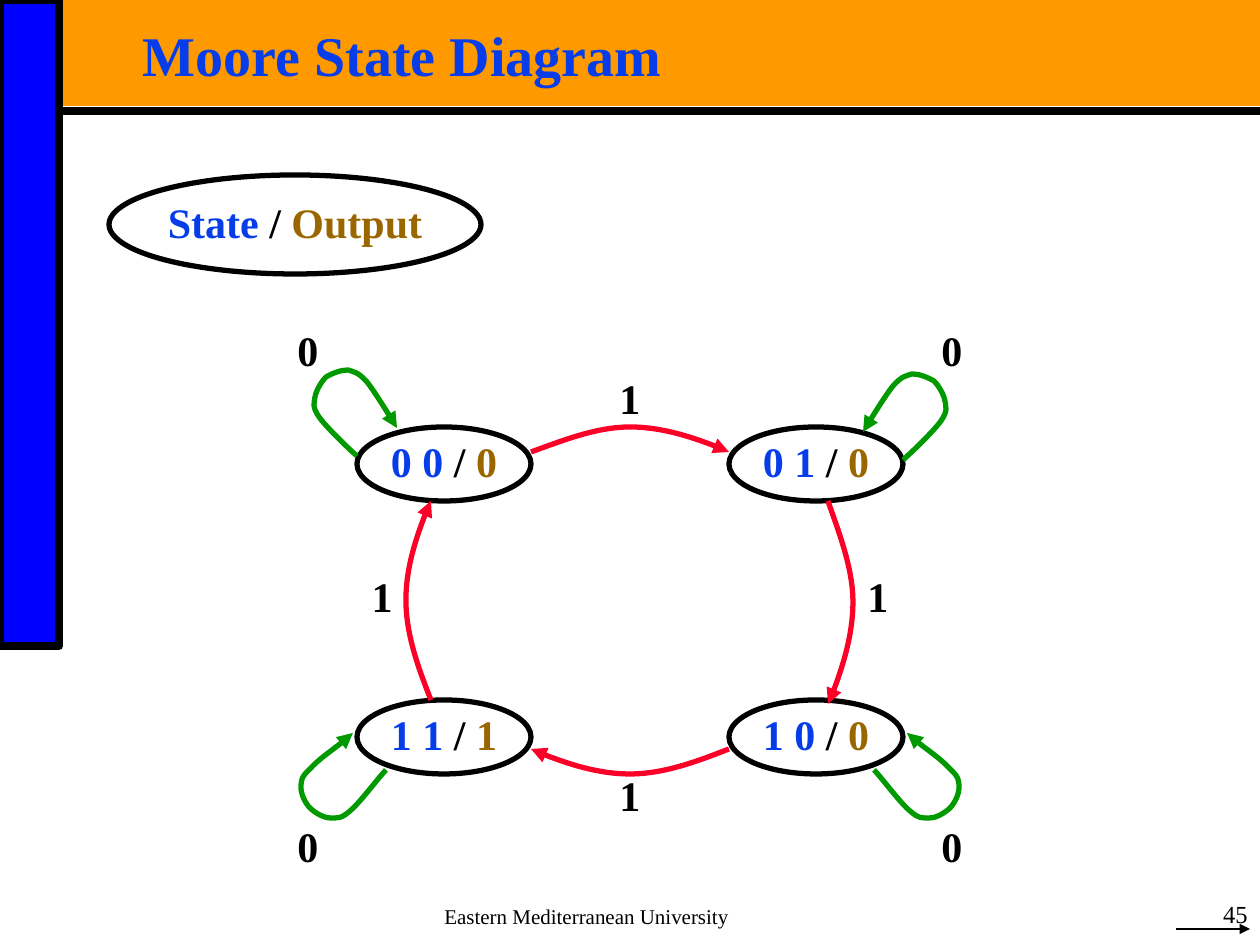
from collections import namedtuple
from dataclasses import dataclass

from lxml.etree import SubElement
from pptx import Presentation
from pptx.dml.color import RGBColor
from pptx.enum.shapes import MSO_CONNECTOR as Connector, MSO_SHAPE as Preset
from pptx.enum.text import MSO_ANCHOR as Anchor, PP_ALIGN as Align
from pptx.oxml.ns import qn
from pptx.util import Pt

PX = 914400 / 126
Box = namedtuple("Box", "x y w h")


@dataclass(frozen=True)
class Theme:
    font: str = "Times New Roman"
    band: str = "FF9900"
    panel: str = "0000FF"
    ink: str = "000000"
    state: str = "063DE8"
    output: str = "996600"
    hold: str = "009900"
    advance: str = "FC0128"
    title_size: int = 32
    body_size: int = 24
    number_size: int = 14
    footer_size: int = 12
    rule_width: float = 4.5
    curve_width: float = 3
    fine_width: float = 0.75


THEME = Theme()

NODE_W, NODE_H = 174, 74
LABEL_W, LABEL_H = 49, 45
BULGE = 25
# Control points of a transition: share of its length, share of its bulge.
ARC = [(0, 0), (1 / 6, 0.5), (1 / 3, 1), (1 / 2, 1), (2 / 3, 1), (0.92, 0.32), (1, 0)]
# Control points of the left-hand loops, from the centre of their state.
UPPER_LOOP = [(-87, -8), (-94, -14), (-118, -37), (-125, -47), (-132, -57),
              (-130, -61), (-129, -67), (-128, -73), (-123, -82), (-118, -87),
              (-111, -91), (-103, -94), (-96, -94), (-90, -92), (-86, -92),
              (-77, -82), (-70, -73), (-53, -46), (-47, -36)]
LOWER_LOOP = [(-58, 33), (-65, 40), (-85, 67), (-94, 74), (-103, 82),
              (-106, 81), (-114, 81), (-120, 81), (-129, 76), (-134, 71),
              (-139, 66), (-143, 57), (-143, 51), (-143, 44), (-143, 40),
              (-134, 32), (-125, 22), (-100, 5), (-91, -4)]


def emu(*lengths):
    return [round(length * PX) for length in lengths]


def rgb(color):
    return RGBColor.from_string(color)


def set_line(shape, color, width, arrow=False):
    shape.line.color.rgb = rgb(color)
    shape.line.width = Pt(width)
    if arrow:
        SubElement(shape.line._get_or_add_ln(), qn("a:tailEnd"), type="triangle")


def write(shape, parts, size, bold=True, align=Align.CENTER, anchor=Anchor.TOP,
          insets=(0, 0), spacing=0.9):
    """Fill a shape with one paragraph of (text, color) parts."""
    frame = shape.text_frame
    frame.word_wrap = True
    frame.vertical_anchor = anchor
    if insets:
        frame.margin_left = frame.margin_right = emu(insets[0])[0]
        frame.margin_top = frame.margin_bottom = emu(insets[1])[0]
    paragraph = frame.paragraphs[0]
    paragraph.alignment = align
    paragraph.line_spacing = spacing
    for text, color in parts:
        run = paragraph.add_run()
        run.text = text
        run.font.name = THEME.font
        run.font.size = Pt(size)
        run.font.bold = bold
        run.font.color.rgb = rgb(color)


def add_preset(slide, preset, box, fill=None):
    shape = slide.shapes.add_shape(preset, *emu(*box))
    shape.shadow.inherit = False
    if fill:
        shape.fill.solid()
        shape.fill.fore_color.rgb = rgb(fill)
    else:
        shape.fill.background()
    return shape


def add_rule(slide, start, end, width, arrow=False):
    rule = slide.shapes.add_connector(Connector.STRAIGHT, *emu(*start, *end))
    set_line(rule, THEME.ink, width, arrow)
    SubElement(rule._element.spPr, qn("a:effectLst"))


def add_curve(slide, points, color):
    """Draw an arrow along cubic Bezier segments: a start, then three points each."""
    builder = slide.shapes.build_freeform(*points[0], scale=PX)
    builder.add_line_segments(points[1:], close=False)
    curve = builder.convert_to_shape()
    curve.shadow.inherit = False
    curve.fill.background()
    set_line(curve, color, THEME.curve_width, arrow=True)
    outline = next(curve._element.iter(qn("a:path")))
    steps = outline.findall(qn("a:lnTo"))
    for first in range(0, len(steps), 3):
        segment = SubElement(outline, qn("a:cubicBezTo"))
        for step in steps[first:first + 3]:
            segment.append(step[0])
            outline.remove(step)


def add_state(slide, box, state, output):
    ellipse = add_preset(slide, Preset.OVAL, box)
    set_line(ellipse, THEME.ink, THEME.curve_width)
    write(ellipse, [(state + " ", THEME.state), ("/ ", THEME.ink), (output, THEME.output)],
          THEME.body_size, anchor=Anchor.MIDDLE)


def add_input(slide, center_x, center_y, value):
    box = emu(center_x - LABEL_W / 2, center_y - LABEL_H / 2, LABEL_W, LABEL_H)
    write(slide.shapes.add_textbox(*box), [(value, THEME.ink)], THEME.body_size)


def add_transition(slide, start, end):
    """Arrow that bulges to the left of its direction of travel."""
    (x, y), dx, dy = start, end[0] - start[0], end[1] - start[1]
    side_x, side_y = (dy > 0) - (dy < 0), (dx < 0) - (dx > 0)
    if abs(dx) > abs(dy):
        side_x = 0
    else:
        side_y = 0
    add_curve(slide, [(x + dx * along + side_x * BULGE * out,
                       y + dy * along + side_y * BULGE * out) for along, out in ARC],
              THEME.advance)


def add_header(slide, box, panel_w, panel_h):
    add_preset(slide, Preset.RECTANGLE, Box(box.x + panel_w, box.y, box.w - panel_w, box.h),
               THEME.band).line.fill.background()
    panel = add_preset(slide, Preset.RECTANGLE, Box(box.x, box.y, panel_w, panel_h), THEME.panel)
    set_line(panel, THEME.ink, THEME.rule_width)
    rule_y = box.y + box.h + 5
    add_rule(slide, (box.x + panel_w, rule_y), (box.x + box.w, rule_y), THEME.rule_width)
    title = slide.shapes.add_textbox(*emu(box.x + 134, box.y + 26, 1091, 66))
    write(title, [("Moore State Diagram", THEME.state)], THEME.title_size,
          align=Align.LEFT, insets=(9, 4), spacing=0.87)


def add_diagram(slide, box):
    """Four states in the corners of the box, with their loops and transitions."""
    right, bottom = box.x + box.w, box.y + box.h
    mid_x, mid_y = box.x + box.w / 2, box.y + box.h / 2
    states = [("0 0", "0", -1, -1), ("0 1", "0", 1, -1),
              ("1 0", "0", 1, 1), ("1 1", "1", -1, 1)]
    for state, output, side, level in states:
        center_x = mid_x + side * (box.w - NODE_W) / 2
        center_y = mid_y + level * (box.h - NODE_H) / 2
        add_state(slide, Box(center_x - NODE_W / 2, center_y - NODE_H / 2, NODE_W, NODE_H),
                  state, output)
        loop = UPPER_LOOP if level < 0 else LOWER_LOOP
        drop = 4 if (side, level) == (1, -1) else 0
        add_curve(slide, [(center_x - side * x, center_y + y + drop) for x, y in loop],
                  THEME.hold)
        add_input(slide, mid_x + side * 322, mid_y + level * 248, "0")

    inner_left, inner_right = box.x + NODE_W, right - NODE_W
    inner_top, inner_bottom = box.y + NODE_H, bottom - NODE_H
    add_transition(slide, (inner_left, box.y + 25), (inner_right, box.y + 25))
    add_transition(slide, (right - 75, inner_top), (right - 75, inner_bottom + 4))
    add_transition(slide, (inner_right, bottom - 25), (inner_left, bottom - 25))
    add_transition(slide, (box.x + 74, inner_bottom), (box.x + 74, inner_top))
    for dx, dy in [(0, -200), (248, -2), (0, 197), (-248, -2)]:
        add_input(slide, mid_x + dx, mid_y + dy, "1")


def add_footer(slide, box):
    for x, w, text, size, align in [
        (432, 456, "Eastern Mediterranean University", THEME.footer_size, Align.LEFT),
        (1095, 165, "45", THEME.number_size, Align.RIGHT),
    ]:
        note = slide.shapes.add_textbox(*emu(box.x + x, box.y, w, box.h))
        write(note, [(text, THEME.ink)], size, bold=False, align=align,
              anchor=Anchor.BOTTOM, insets=None, spacing=1.0)
    arrow_y = box.y + 34
    add_rule(slide, (box.x + 1176, arrow_y), (box.x + 1250, arrow_y), THEME.fine_width, arrow=True)


def main():
    deck = Presentation()
    deck.slide_width, deck.slide_height = emu(1260, 945)
    slide = deck.slides.add_slide(deck.slide_layouts[6])
    add_header(slide, Box(0, 0, 1260, 106), panel_w=59, panel_h=646)
    add_state(slide, Box(109, 175, 372, 99), "State", "Output")
    add_diagram(slide, Box(357, 427, 546, 347))
    add_footer(slide, Box(0, 895, 1260, 40))
    deck.save("out.pptx")


if __name__ == "__main__":
    main()
